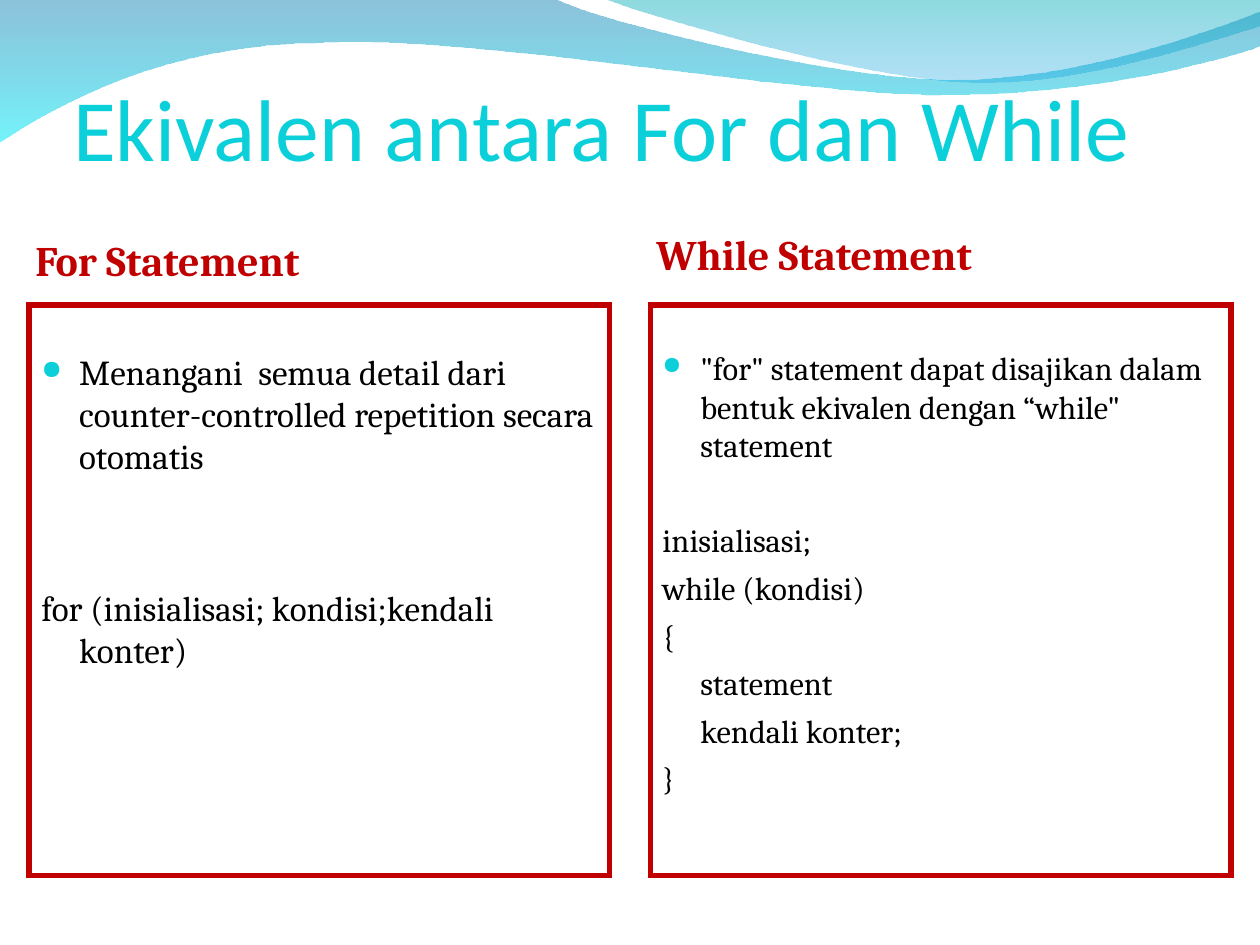
import dataclasses
import typing

import pptx
import pptx.dml.color
import pptx.enum.shapes
import pptx.enum.text
import pptx.oxml
import pptx.oxml.ns
import pptx.util

Inches = pptx.util.Inches
Pt = pptx.util.Pt
Point = tuple[float, float]
ANCHOR = pptx.enum.text.MSO_ANCHOR
NAMESPACE = pptx.oxml.ns.nsdecls("a")
COLORS = {
    "title": "0BD0D9",
    "accent": "C00000",
    "text": "000000",
    "wave_blue": "0079AF",
    "wave_cyan": "00EBF8",
    "crest_teal": "00ADB6",
    "crest_blue": "009BE5",
}
INDENT = 0.3


@dataclasses.dataclass
class Wave:
    start: Point
    segments: list[tuple[Point, ...]]
    stops: list[tuple[str, int]]


@dataclasses.dataclass
class Line:
    text: str
    before: float = 5
    left: float = INDENT
    first: float = -INDENT
    bullet: bool = False


@dataclasses.dataclass
class Panel:
    left: float
    heading: str
    heading_top: float
    heading_height: float
    text_width: float
    text_inset: float
    size: float
    lines: list[Line]


WAVES = [
    Wave(
        (0, -0.01),
        [
            ((4.4, -0.01),),
            ((4.76, 0.17), (6.64, 0.63), (7.58, 0.63)),
            ((8.53, 0.63), (9.58, 0.26), (10, 0.09)),
            ((10.01, 0.36),),
            ((9.83, 0.44), (8.7, 0.76), (7.46, 0.75)),
            ((6.22, 0.75), (3.82, 0.28), (2.57, 0.34)),
            ((1.29, 0.35), (0.46, 0.83), (-0.01, 1.13)),
        ],
        [("wave_blue", 45), ("wave_cyan", 55)],
    ),
    Wave(
        (4.79, -0.01),
        [
            ((5.09, 0.11), (6.82, 0.62), (7.69, 0.65)),
            ((8.56, 0.69), (9.61, 0.32), (10, 0.21)),
            ((10, 0),),
        ],
        [("crest_teal", 45), ("crest_blue", 30)],
    ),
]
PANELS = [
    Panel(0.23, "For Statement", 1.7, 0.72, 4.61, 0.4, 20, [
        Line("Menangani  semua detail dari counter-controlled repetition secara otomatis",
             before=0, bullet=True),
        Line("for (inisialisasi; kondisi;kendali konter)", before=63),
    ]),
    Panel(5.16, "While Statement", 1.66, 0.71, 4.53, 0.38, 18.5, [
        Line("\"for\" statement dapat disajikan dalam bentuk ekivalen dengan “while\" statement",
             before=0, bullet=True),
        Line("inisialisasi;", before=32),
        Line("while (kondisi)"),
        Line("{"),
        Line("statement", first=0),
        Line("kendali konter;", first=0),
        Line("}"),
    ]),
]


def rgb(name: str) -> pptx.dml.color.RGBColor:
    return pptx.dml.color.RGBColor.from_string(COLORS[name])


def apply_format(target: typing.Any, values: dict[str, typing.Any]) -> None:
    for name, value in values.items():
        setattr(target, name, value)


def bend_segments(shape: typing.Any, segments: list[tuple[Point, ...]]) -> None:
    edges = iter(list(shape._element.iter(pptx.oxml.ns.qn("a:lnTo"))))
    for segment in segments:
        group = [next(edges) for _ in segment]
        if len(group) == 3:
            curve = pptx.oxml.parse_xml(f"<a:cubicBezTo {NAMESPACE}/>")
            group[0].addprevious(curve)
            for edge in group:
                curve.append(edge[0])
                edge.getparent().remove(edge)


def draw_wave(page: typing.Any, wave: Wave) -> None:
    points = [point for segment in wave.segments for point in segment]
    builder = page.shapes.build_freeform(*map(Inches, wave.start))
    builder.add_line_segments([(Inches(x), Inches(y)) for x, y in points], close=True)
    shape = builder.convert_to_shape()
    bend_segments(shape, wave.segments)
    shape.shadow.inherit = False
    shape.line.fill.background()
    shape.fill.gradient()
    shape.fill.gradient_angle = 270
    for stop, (color, _) in zip(shape.fill.gradient_stops, wave.stops):
        stop.color.rgb = rgb(color)
    tags = shape._element.spPr.iter(pptx.oxml.ns.qn("a:srgbClr"))
    for tag, (_, opacity) in zip(list(tags), wave.stops):
        tag.append(pptx.oxml.parse_xml(f'<a:alpha {NAMESPACE} val="{opacity * 1000}"/>'))


def add_text(page: typing.Any, area: tuple[float, ...], insets: tuple[float, ...],
             anchor: typing.Any, lines: list[Line], font: dict[str, typing.Any],
             color: str) -> None:
    box = page.shapes.add_textbox(*map(Inches, area))
    sides = ("margin_left", "margin_top", "margin_right", "margin_bottom")
    values = dict(zip(sides, map(Inches, insets)))
    apply_format(box.text_frame, values | {"word_wrap": True, "vertical_anchor": anchor})
    for index, line in enumerate(lines):
        para = box.text_frame.add_paragraph() if index else box.text_frame.paragraphs[0]
        para.space_before = Pt(line.before)
        properties = para._p.get_or_add_pPr()
        properties.set("marL", str(Inches(line.left)))
        properties.set("indent", str(Inches(line.first)))
        if line.bullet:
            add_bullet(properties)
        span = para.add_run()
        span.text = line.text
        apply_format(span.font, font)
        span.font.color.rgb = rgb(color)


def add_bullet(properties: typing.Any) -> None:
    for xml in (
        f'<a:buClr {NAMESPACE}><a:srgbClr val="{COLORS["title"]}"/></a:buClr>',
        f'<a:buSzPct {NAMESPACE} val="75000"/>',
        f'<a:buChar {NAMESPACE} char="●"/>',
    ):
        properties.append(pptx.oxml.parse_xml(xml))


def draw_panel(page: typing.Any, panel: Panel) -> None:
    add_text(page, (panel.left, panel.heading_top, 4.42, panel.heading_height),
             (0.05, 0, 0.05, 0), ANCHOR.MIDDLE, [Line(panel.heading, 0, 0, 0)],
             {"name": "Cambria", "size": Pt(24), "bold": True}, "accent")
    add_text(page, (panel.left, 2.38, panel.text_width, 4.32),
             (0.1, panel.text_inset, 0.1, 0.05), ANCHOR.TOP, panel.lines,
             {"name": "Cambria", "size": Pt(panel.size)}, "text")


def draw_frame(page: typing.Any, left: float) -> None:
    frame = page.shapes.add_shape(pptx.enum.shapes.MSO_SHAPE.RECTANGLE,
                                  *map(Inches, (left, 2.42, 4.61, 4.53)))
    frame.shadow.inherit = False
    frame.fill.background()
    frame.line.color.rgb = rgb("accent")
    frame.line.width = Pt(3)
    frame.line._ln.append(pptx.oxml.parse_xml(f'<a:miter {NAMESPACE} lim="800000"/>'))


def main() -> None:
    deck = pptx.Presentation()
    apply_format(deck, {"slide_width": Inches(10), "slide_height": Inches(7.5)})
    page = deck.slides.add_slide(deck.slide_layouts[6])
    for wave in WAVES:
        draw_wave(page, wave)
    add_text(page, (0.58, 0.68, 9, 0.74), (0, 0.05, 0, 0), ANCHOR.BOTTOM,
             [Line("Ekivalen antara For dan While", 0, 0, 0)],
             {"name": "Calibri", "size": Pt(50)}, "title")
    for panel in PANELS:
        draw_panel(page, panel)
    for panel in PANELS:
        draw_frame(page, panel.left)
    deck.save("out.pptx")


if __name__ == "__main__":
    main()
